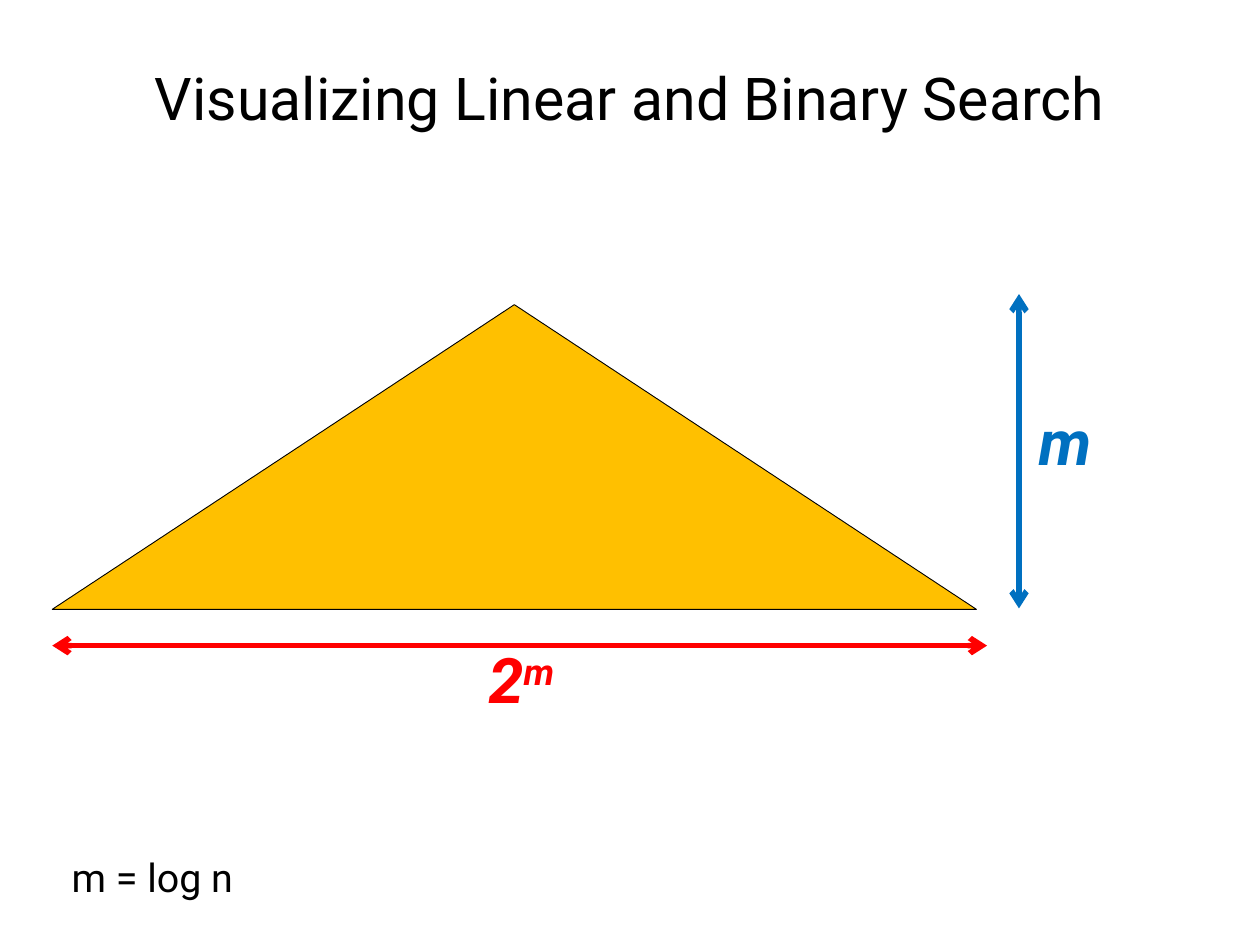
from dataclasses import dataclass

from lxml import etree
from pptx import Presentation
from pptx import util as u
from pptx.dml.color import RGBColor
from pptx.enum import shapes, text
from pptx.oxml.ns import qn

EMU_PER_PX = 9144  # 100 px to the inch
FONT = "Roboto"
BLACK, RED, BLUE, AMBER = "000000", "FF0000", "0070C0", "FFC000"


@dataclass
class Label:
    box: tuple[int, int, int, int]
    words: str
    size: int
    color: str = BLACK
    superscript: str = ""
    emphasis: bool = False
    insets: tuple[int, int] = (10, 5)
    wrap: bool = False
    anchor: text.MSO_ANCHOR = text.MSO_ANCHOR.TOP
    line_points: float | None = None


@dataclass
class Arrow:
    start: tuple[int, int]
    end: tuple[int, int]
    color: str


LABELS = [
    Label((104, 28, 1214, 164), "Visualizing Linear and Binary Search", 48,
          insets=(6, 6), wrap=True, anchor=text.MSO_ANCHOR.MIDDLE),
    Label((533, 717, 111, 100), "2", 51, RED, superscript="m",
          emphasis=True, insets=(14, 7)),
    Label((1156, 474, 92, 76), "m", 51, BLUE,
          emphasis=True, insets=(14, 7), line_points=42.7),
    Label((69, 958, 206, 64), "m = log n", 32),
]
ARROWS = [
    Arrow((59, 729), (1114, 729), RED),
    Arrow((1150, 332), (1150, 687), BLUE),
]
TRIANGLE_BOX = (59, 344, 1043, 344)


def px(length: int) -> u.Emu:
    return u.Emu(length * EMU_PER_PX)


def rgb(color: str) -> RGBColor:
    return RGBColor.from_string(color)


def set_all(target, values: dict) -> None:
    for name, value in values.items():
        setattr(target, name, value)


def add_label(slide, label: Label) -> None:
    frame = slide.shapes.add_textbox(*map(px, label.box)).text_frame
    side, top = map(px, label.insets)
    set_all(frame, {
        "margin_left": side, "margin_right": side,
        "margin_top": top, "margin_bottom": top,
        "word_wrap": label.wrap, "vertical_anchor": label.anchor,
    })
    paragraph = frame.paragraphs[0]
    paragraph.alignment = text.PP_ALIGN.CENTER
    if label.line_points:
        paragraph.line_spacing = u.Pt(label.line_points)
    for words, baseline in ((label.words, 0), (label.superscript, 30000)):
        if not words:
            continue
        run = paragraph.add_run()
        run.text = words
        set_all(run.font, {"name": FONT, "size": u.Pt(label.size),
                           "bold": label.emphasis, "italic": label.emphasis})
        run.font.color.rgb = rgb(label.color)
        if baseline:
            run.font._element.set("baseline", str(baseline))


def add_arrow(slide, arrow: Arrow) -> None:
    connector = slide.shapes.add_connector(
        shapes.MSO_CONNECTOR.STRAIGHT, *map(px, arrow.start + arrow.end))
    connector.line.width = u.Pt(4.5)
    connector.line.color.rgb = rgb(arrow.color)
    # Arrowheads at both ends, and no shadow
    properties = connector._element.spPr
    for end in ("a:headEnd", "a:tailEnd"):
        etree.SubElement(properties.find(qn("a:ln")), qn(end), type="arrow")
    etree.SubElement(properties, qn("a:effectLst"))


def add_triangle(slide) -> None:
    triangle = slide.shapes.add_shape(
        shapes.MSO_SHAPE.ISOSCELES_TRIANGLE, *map(px, TRIANGLE_BOX))
    triangle.shadow.inherit = False
    triangle.fill.solid()
    triangle.fill.fore_color.rgb = rgb(AMBER)
    triangle.line.color.rgb = rgb(BLACK)
    triangle.line.width = u.Pt(0.75)


def main() -> None:
    presentation = Presentation()
    set_all(presentation, {"slide_width": px(1422), "slide_height": px(1067)})
    slide = presentation.slides.add_slide(presentation.slide_layouts[6])

    # Search tree with its width and height
    add_triangle(slide)
    for arrow in ARROWS:
        add_arrow(slide, arrow)

    # Title, dimensions and formula
    for label in LABELS:
        add_label(slide, label)

    presentation.save("out.pptx")


if __name__ == "__main__":
    main()
